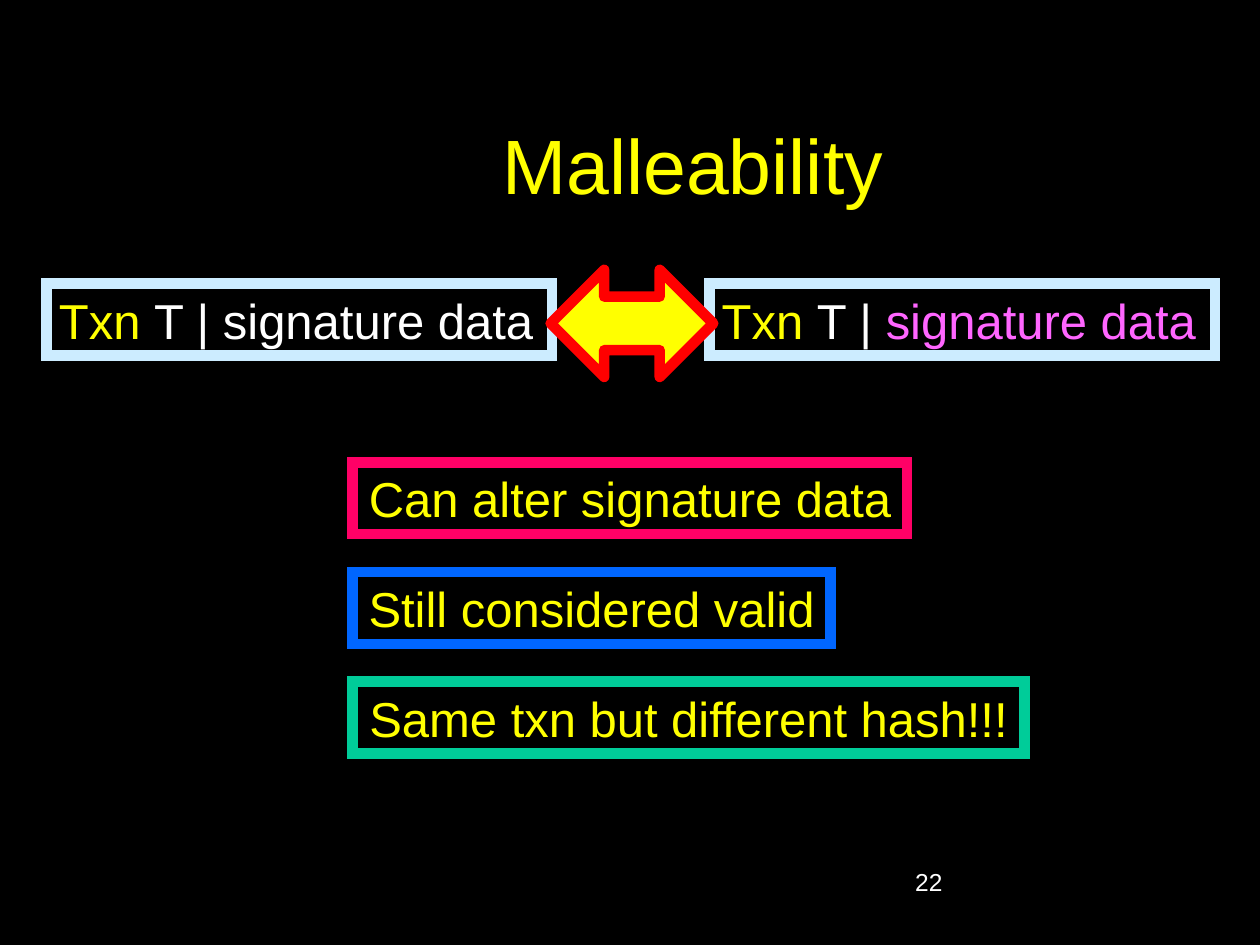
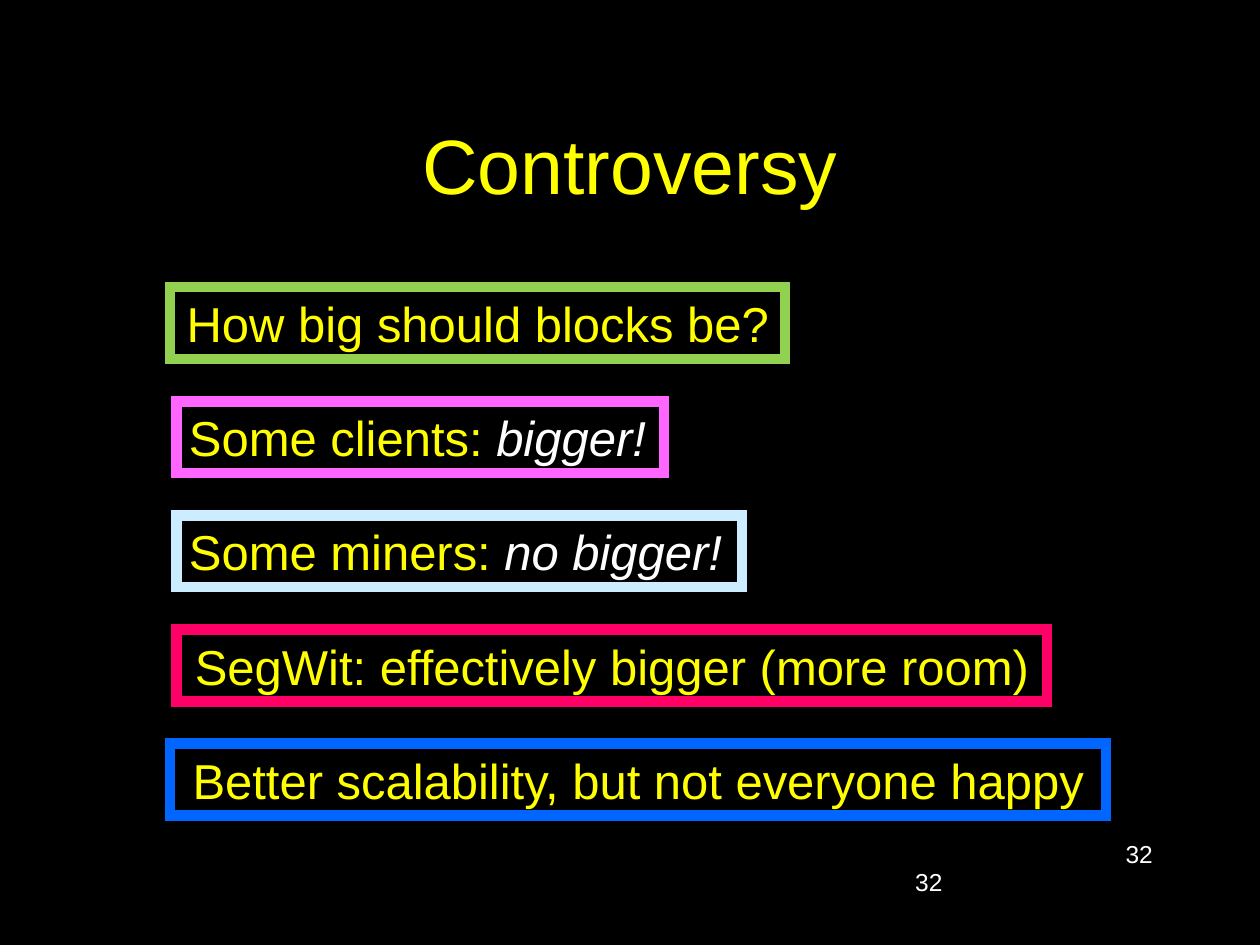
from lxml import etree
from pptx import Presentation
from pptx.dml.color import RGBColor
from pptx.enum.shapes import MSO_SHAPE
from pptx.enum.text import MSO_ANCHOR, MSO_AUTO_SIZE, PP_ALIGN
from pptx.oxml.ns import qn
from pptx.util import Cm, Pt

LEFT, CENTER, RIGHT = PP_ALIGN.LEFT, PP_ALIGN.CENTER, PP_ALIGN.RIGHT
MIDDLE = MSO_ANCHOR.MIDDLE
FIT_SHAPE, NO_FIT = MSO_AUTO_SIZE.SHAPE_TO_FIT_TEXT, MSO_AUTO_SIZE.NONE
RECTANGLE, DOUBLE_ARROW = MSO_SHAPE.RECTANGLE, MSO_SHAPE.LEFT_RIGHT_ARROW

BLACK, WHITE, YELLOW, RED = "000000", "FFFFFF", "FFFF00", "FF0000"
PALE_BLUE, BLUE, CRIMSON = "CCECFF", "0066FF", "FF0066"
TEAL, PINK, GREEN = "00CC99", "FF66FF", "92D050"


def rgb(color):
    return RGBColor.from_string(color)


class Deck:
    font = "Arial"
    box_height = 1.45

    def __init__(self):
        self.prs = Presentation()
        self.prs.slide_width, self.prs.slide_height = Cm(25.4), Cm(19.05)
        backdrop = self.prs.slide_master.background.fill
        backdrop.solid()
        backdrop.fore_color.rgb = rgb(BLACK)
        self.slide = None

    def style(self, font, size, color=None):
        font.name, font.size = self.font, Pt(size)
        if color:
            font.color.rgb = rgb(color)

    def new_slide(self, heading, indent=0.25):
        self.slide = self.prs.slides.add_slide(self.prs.slide_layouts[5])
        title = self.slide.shapes.title
        title.left, title.top, title.width, title.height = Cm(1.9), Cm(1.7), Cm(21.6), Cm(3.18)
        frame = title.text_frame
        frame.text = heading
        frame.auto_size = NO_FIT
        frame.vertical_anchor = MIDDLE
        frame.margin_left = Cm(indent)
        paragraph = frame.paragraphs[0]
        paragraph.alignment = CENTER
        self.style(paragraph.font, 44, YELLOW)

    def page_number(self, number, top=17.35, align=LEFT):
        label = self.slide.shapes.add_textbox(Cm(18.2), Cm(top), Cm(5.29), Cm(1.27))
        label.text_frame.word_wrap = True
        paragraph = label.text_frame.paragraphs[0]
        paragraph.text = str(number)
        paragraph.alignment = align
        self.style(paragraph.font, 14, WHITE)

    def outlined(self, kind, left, top, width, height, fill, border):
        shape = self.slide.shapes.add_shape(kind, Cm(left), Cm(top), Cm(width), Cm(height))
        shape.shadow.inherit = False
        shape.fill.solid()
        shape.fill.fore_color.rgb = rgb(fill)
        shape.line.color.rgb = rgb(border)
        shape.line.width = Pt(6)
        return shape

    def box(self, left, top, width, border, parts, align=CENTER):
        shape = self.outlined(RECTANGLE, left, top, width, self.box_height, BLACK, border)
        etree.SubElement(shape.line._get_or_add_ln(), qn("a:miter"), lim="800000")
        frame = shape.text_frame
        frame.word_wrap = False
        frame.auto_size = FIT_SHAPE
        paragraph = frame.paragraphs[0]
        paragraph.alignment = align
        self.style(paragraph.font, 28)
        for text, color, italic in parts:
            run = paragraph.add_run()
            run.text = text
            self.style(run.font, 28, color)
            if italic:
                run.font.italic = True

    def stack(self, top, step, rows):
        for index, (left, width, border, align, statement, answer) in enumerate(rows):
            parts = [(statement, YELLOW, False)]
            if answer:
                parts.append((answer, WHITE, True))
            self.box(left, top + index * step, width, border, parts, align)


def malleability(deck):
    deck.new_slide("Malleability", indent=2.79)
    deck.page_number(22)
    transactions = [
        (0.94, [("Txn ", YELLOW, False), ("T | signature data", WHITE, False)]),
        (14.3, [("Txn ", YELLOW, False), ("T | ", WHITE, False), ("signature data", PINK, False)]),
    ]
    for left, parts in transactions:
        deck.box(left, 5.72, 10.19, PALE_BLUE, parts, LEFT)
    deck.stack(9.32, 2.21, [
        (7.11, 11.18, CRIMSON, CENTER, "Can alter signature data", ""),
        (7.11, 9.63, BLUE, CENTER, "Still considered valid", ""),
        (7.11, 13.54, TEAL, CENTER, "Same txn but different hash!!!", ""),
    ])
    deck.outlined(DOUBLE_ARROW, 11.1, 5.44, 3.28, 2.16, YELLOW, RED)


def controversy(deck):
    deck.new_slide("Controversy")
    deck.page_number(32)
    deck.page_number(32, top=16.79, align=RIGHT)
    deck.stack(5.79, 2.3, [
        (3.43, 12.4, GREEN, CENTER, "How big should blocks be?", ""),
        (3.56, 9.83, PINK, LEFT, "Some clients: ", "bigger!"),
        (3.56, 11.4, PALE_BLUE, LEFT, "Some miners: ", "no bigger!"),
        (3.56, 17.55, CRIMSON, CENTER, "SegWit: effectively bigger (more room)", ""),
        (3.43, 18.87, BLUE, CENTER, "Better scalability, but not everyone happy", ""),
    ])


def main():
    deck = Deck()
    malleability(deck)
    controversy(deck)
    deck.prs.save("out.pptx")


if __name__ == "__main__":
    main()
